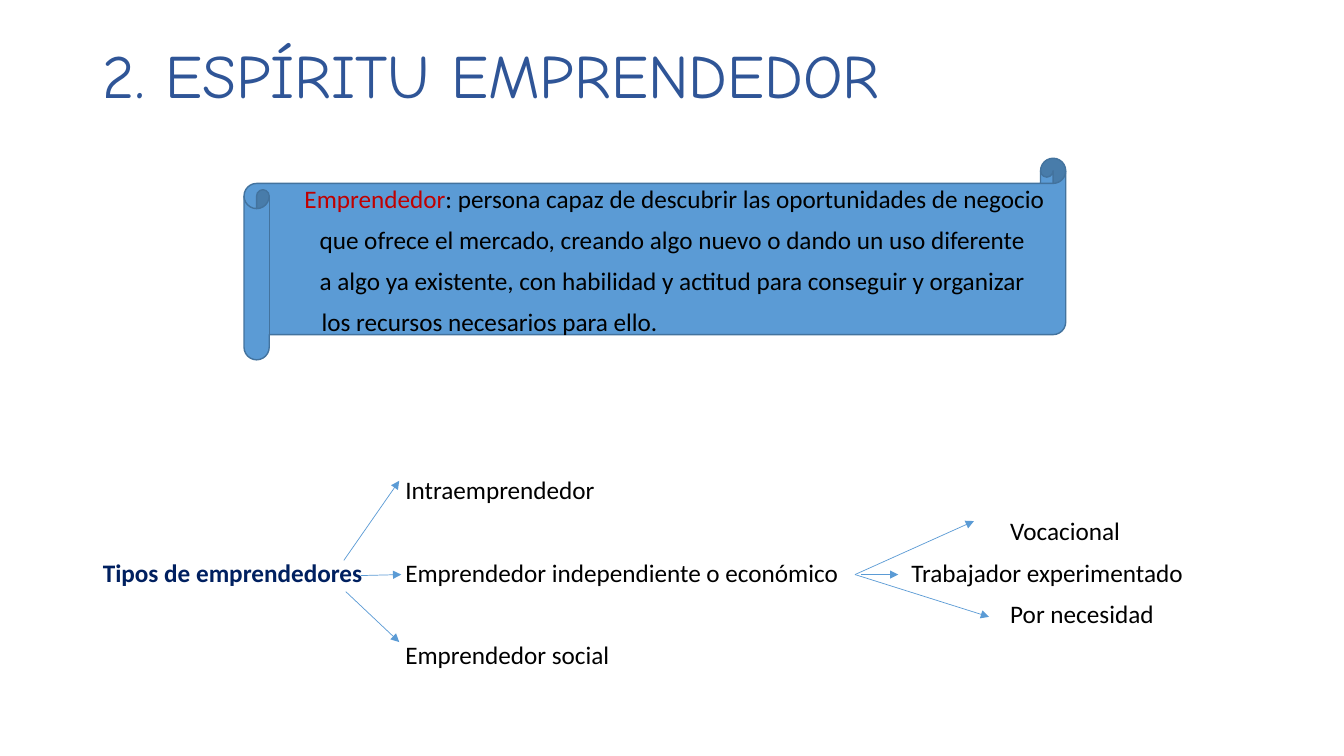
from pptx import Presentation
from pptx.dml.color import RGBColor
from pptx.enum import shapes, text
from pptx.oxml import ns
from pptx.util import Inches, Pt
from lxml import etree

BLUE = RGBColor(0x5B, 0x9B, 0xD5)
EDGE = RGBColor(0x43, 0x73, 0x9E)
TITLE = RGBColor(0x2F, 0x55, 0x97)
NAVY = RGBColor(0x00, 0x20, 0x60)
RED = RGBColor(0xC0, 0x00, 0x00)
BLACK = RGBColor(0, 0, 0)


class Deck:
    font = "Calibri"
    size = 18
    pitch = 0.41

    def __init__(self):
        self.prs = Presentation()
        self.prs.slide_width = Inches(13.33)
        self.prs.slide_height = Inches(7.5)
        self.slide = self.prs.slides.add_slide(self.prs.slide_layouts[6])

    def scroll(self, x, y, w, h):
        kind = shapes.MSO_SHAPE.HORIZONTAL_SCROLL
        item = self.slide.shapes.add_shape(
            kind, Inches(x), Inches(y), Inches(w), Inches(h))
        item.shadow.inherit = False
        item.fill.solid()
        item.fill.fore_color.rgb = BLUE
        item.line.color.rgb = EDGE
        item.line.width = Pt(1)

    def block(self, x, y, w, h, lines, color=BLACK, bold=False,
              size=size, font=font, middle=False):
        box = self.slide.shapes.add_textbox(
            Inches(x), Inches(y), Inches(w), Inches(h))
        frame = box.text_frame
        frame.word_wrap = True
        frame.margin_left = frame.margin_right = 0
        frame.margin_top = frame.margin_bottom = 0
        anchor = text.MSO_ANCHOR
        frame.vertical_anchor = anchor.MIDDLE if middle else anchor.TOP
        for i, (indent, runs) in enumerate(lines):
            para = frame.add_paragraph() if i else frame.paragraphs[0]
            para.line_spacing = 0.9
            para.space_before = Pt(10 if i else 0)
            para.font.size = Pt(size)
            para.font.name = font
            para.font.bold = bold
            para._p.get_or_add_pPr().set("marL", str(Inches(indent)))
            for words, tint in runs:
                run = para.add_run()
                run.text = words
                run.font.color.rgb = tint or color

    def label(self, x, row, w, words, **style):
        self.block(x, 4.74 + row * self.pitch, w, 0.3,
                   [(0, [(words, None)])], **style)

    def arrow(self, x1, y1, x2, y2):
        line = self.slide.shapes.add_connector(
            shapes.MSO_CONNECTOR.STRAIGHT,
            Inches(x1), Inches(y1), Inches(x2), Inches(y2))
        line.line.color.rgb = BLUE
        line.line.width = Pt(0.5)
        stroke = line.line._get_or_add_ln()
        etree.SubElement(stroke, ns.qn("a:tailEnd"), type="triangle")
        etree.SubElement(line._element.spPr, ns.qn("a:effectLst"))


def main():
    deck = Deck()
    deck.scroll(2.42, 1.57, 8.15, 2)
    deck.block(1.02, 0.4, 11.3, 0.76,
               [(0, [("2. ESPÍRITU EMPRENDEDOR", None)])],
               color=TITLE, size=44, font="Comic Neue", middle=True)
    deck.block(3.02, 1.85, 7.5, 1.52, [
        (0, [("Emprendedor", RED),
             (": persona capaz de descubrir las oportunidades de negocio", None)]),
        (0.15, [("que ofrece el mercado, creando algo nuevo o dando un uso diferente", None)]),
        (0.15, [("a algo ya existente, con habilidad y actitud para conseguir y organizar", None)]),
        (0.17, [("los recursos necesarios para ello.", None)]),
    ])

    deck.label(1.02, 2, 2.8, "Tipos de emprendedores", color=NAVY, bold=True)
    kinds = ["Intraemprendedor", "Emprendedor independiente o económico",
             "Emprendedor social"]
    for i, kind in enumerate(kinds):
        deck.label(4.02, 2 * i, 4.5, kind)
    forms = [(10.02, "Vocacional"), (9.04, "Trabajador experimentado"),
             (10.02, "Por necesidad")]
    for row, (x, form) in enumerate(forms, 1):
        deck.label(x, row, 3, form)

    for ends in [(3.43, 5.87, 3.96, 6.37), (3.41, 5.56, 3.96, 4.77),
                 (3.58, 5.71, 3.98, 5.7), (8.48, 5.7, 9.66, 5.17),
                 (8.54, 5.7, 8.91, 5.7), (8.48, 5.7, 9.81, 6.12)]:
        deck.arrow(*ends)
    deck.prs.save("out.pptx")


if __name__ == "__main__":
    main()
